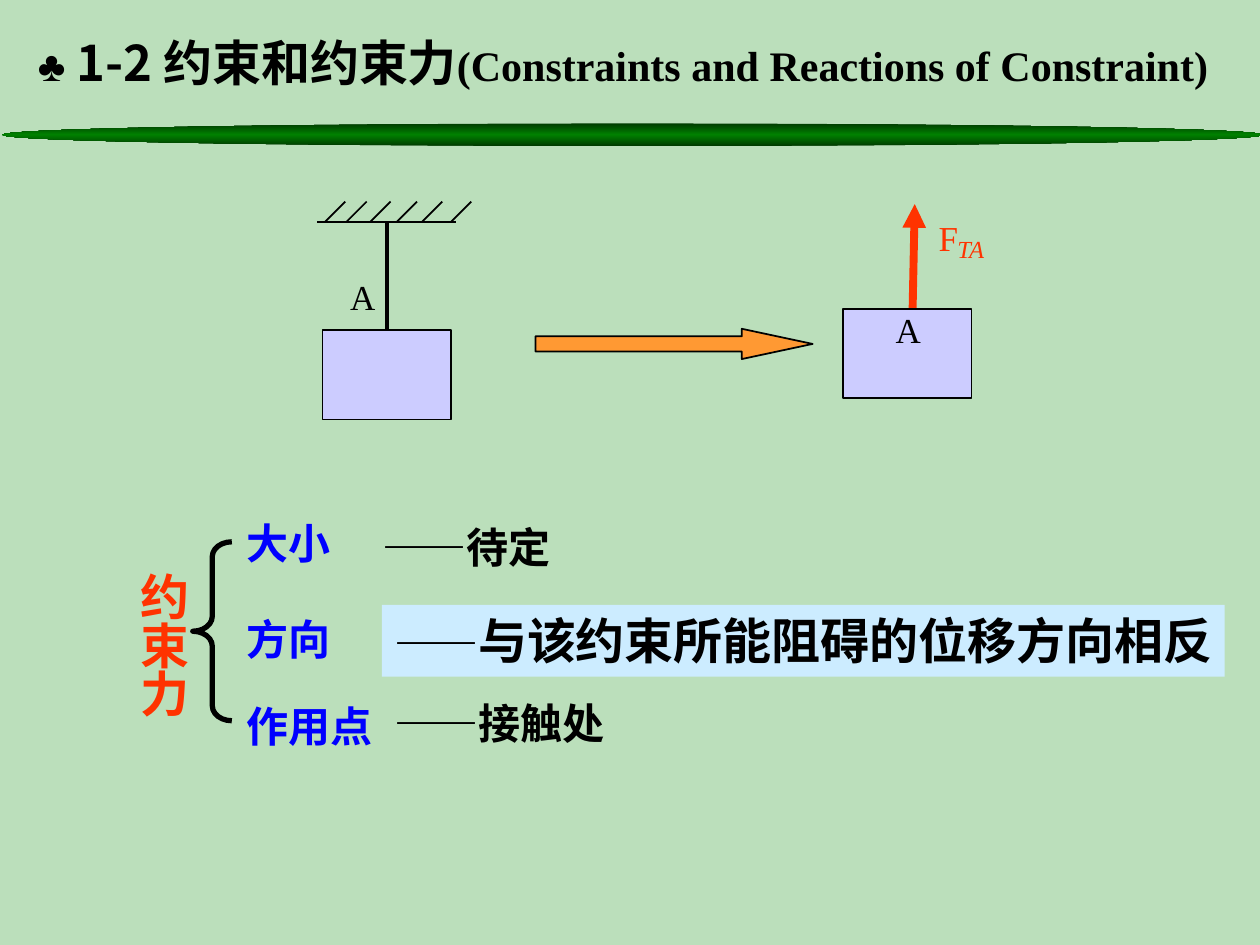
from copy import deepcopy
from dataclasses import dataclass

from lxml import etree
from pptx import Presentation
from pptx.dml.color import RGBColor
from pptx.enum.shapes import MSO_CONNECTOR, MSO_SHAPE
from pptx.enum.text import MSO_ANCHOR, MSO_AUTO_SIZE, PP_ALIGN
from pptx.oxml.ns import qn
from pptx.util import Inches, Pt

STRAIGHT = MSO_CONNECTOR.STRAIGHT
RECTANGLE, OVAL = MSO_SHAPE.RECTANGLE, MSO_SHAPE.OVAL
ARROW, BRACE = MSO_SHAPE.RIGHT_ARROW, MSO_SHAPE.LEFT_BRACE
TOP, LEFT, CENTER = MSO_ANCHOR.TOP, PP_ALIGN.LEFT, PP_ALIGN.CENTER
FIT_SHAPE, NO_FIT = MSO_AUTO_SIZE.SHAPE_TO_FIT_TEXT, MSO_AUTO_SIZE.NONE

# The slide is a grid of 10 columns and 7.5 rows of one inch.
COLUMNS, ROWS = 10, 7.5
BLOCK_SIZE = (1.02, 0.71)
CEILING = 1.76
HATCH_TOPS = (2.74, 2.91, 3.1, 3.31, 3.51, 3.74)
HATCH_SIZE = 0.16


@dataclass(frozen=True)
class Theme:
    background: str = "BBDFBB"
    ink: str = "000000"
    label: str = "0000FF"
    force: str = "FF3300"
    block: str = "CCCCFF"
    arrow: str = "FF9933"
    highlight: str = "CCECFF"
    bar_edge: str = "003B00"
    bar_middle: str = "008000"
    serif: str = "Times New Roman"
    chinese: str = "Noto Sans CJK SC"
    symbol: str = "Arial"
    large: float = 28
    medium: float = 24
    point: float = 20
    subscript: float = 14


THEME = Theme()


def color(value):
    return RGBColor.from_string(value)


def grid(*lengths):
    return [Inches(length) for length in lengths]


def add_run(paragraph, text, size=THEME.medium, font=THEME.serif, fill=THEME.ink,
            bold=False, italic=False):
    run = paragraph.add_run()
    run.text = text
    run.font.size, run.font.name = Pt(size), font
    run.font.bold, run.font.italic = bold, italic
    run.font.color.rgb = color(fill)
    east_asian = etree.SubElement(run.font._element, qn("a:ea"))
    east_asian.set("typeface", THEME.chinese)


def set_frame(shape, wrap=False, fit=FIT_SHAPE, alignment=LEFT):
    frame = shape.text_frame
    frame.word_wrap, frame.auto_size = wrap, fit
    frame.vertical_anchor = TOP
    frame.paragraphs[0].alignment = alignment
    return frame.paragraphs[0]


def add_label(slide, text, left, top, width, height, **style):
    box = slide.shapes.add_textbox(*grid(left, top, width, height))
    add_run(set_frame(box), text, **style)
    return box


def add_vertical_label(slide, text, left, top, width, height, **style):
    box = slide.shapes.add_textbox(*grid(left, top, width, height))
    paragraph = set_frame(box, wrap=True, alignment=CENTER)
    frame = box.text_frame
    frame.margin_left = frame.margin_right = Inches(0.05)
    frame.margin_top = frame.margin_bottom = Inches(0.1)
    frame._txBody.bodyPr.set("vert", "eaVert")
    add_run(paragraph, text, **style)


def add_figure(slide, kind, left, top, width, height, fill=None, line=None, weight=1):
    shape = slide.shapes.add_shape(kind, *grid(left, top, width, height))
    shape.shadow.inherit = False
    if fill:
        shape.fill.solid()
        shape.fill.fore_color.rgb = color(fill)
    else:
        shape.fill.background()
    if line:
        shape.line.color.rgb = color(line)
        shape.line.width = Pt(weight)
    else:
        shape.line.fill.background()
    return shape


def add_line(slide, start, end, fill=THEME.ink, weight=1, arrow_at_start=False):
    line = slide.shapes.add_connector(STRAIGHT, *grid(*start, *end))
    line.line.color.rgb = color(fill)
    line.line.width = Pt(weight)
    if arrow_at_start:
        etree.SubElement(line.line._get_or_add_ln(), qn("a:headEnd")).set("type", "triangle")
    etree.SubElement(line._element.spPr, qn("a:effectLst"))
    return line


def add_title(slide):
    title = slide.shapes.title
    title.left, title.top, title.width, title.height = grid(0.2, 0.21, 10, 0.67)
    paragraph = set_frame(title, wrap=True, fit=NO_FIT)
    add_run(paragraph, "♣", font=THEME.symbol, italic=True)
    add_run(paragraph, " ", size=THEME.large, font=THEME.chinese)
    add_run(paragraph, "1-2 约束和约束力", size=THEME.large, font=THEME.chinese, bold=True)
    add_run(paragraph, "(Constraints and Reactions of Constraint)", bold=True)


def add_gradient_bar(slide):
    """Draw the ellipse under the title, dark at both edges."""
    bar = add_figure(slide, OVAL, 0.02, 0.98, 10, 0.18)
    bar.fill.gradient()
    bar.fill.gradient_angle = 90
    stop_list = bar._element.spPr.find(".//" + qn("a:gsLst"))
    stop_list.insert(1, deepcopy(stop_list[0]))
    shades = (THEME.bar_edge, THEME.bar_middle, THEME.bar_edge)
    for index, (stop, shade) in enumerate(zip(bar.fill.gradient_stops, shades)):
        stop.position = index / 2
        stop.color.rgb = color(shade)


def add_block(slide, left, top):
    return add_figure(slide, RECTANGLE, left, top, *BLOCK_SIZE,
                      fill=THEME.block, line=THEME.ink)


def add_hanging_block(slide):
    block = add_block(slide, 2.56, 2.62)
    rope = add_line(slide, (3.07, CEILING), (3.07, 2.62), weight=2.25)
    rope.end_connect(block, 0)
    add_line(slide, (2.52, CEILING), (3.62, CEILING))
    for x in HATCH_TOPS:
        add_line(slide, (x, CEILING - HATCH_SIZE), (x - HATCH_SIZE, CEILING))
    add_label(slide, "A", 2.68, 2.14, 0.39, 0.44, size=THEME.point)


def add_free_body(slide):
    arrow = add_figure(slide, ARROW, 4.25, 2.61, 2.2, 0.24,
                       fill=THEME.arrow, line=THEME.ink)
    arrow.adjustments[0], arrow.adjustments[1] = 0.5, 2.34
    add_line(slide, (7.26, 1.62), (7.24, 2.61), fill=THEME.force, weight=4.5,
             arrow_at_start=True)
    add_label(slide, "F", 7.35, 1.67, 0.35, 0.44, size=THEME.point, fill=THEME.force)
    add_label(slide, "TA", 7.5, 1.81, 0.43, 0.34, size=THEME.subscript,
              fill=THEME.force, italic=True)
    add_block(slide, 6.69, 2.45)
    add_label(slide, "A", 7.01, 2.4, 0.39, 0.44, size=THEME.point)


def add_summary(slide):
    """List the three properties of a constraint force beside a brace."""
    add_vertical_label(slide, "约束力", 0.92, 4.44, 0.66, 1.72,
                       size=THEME.large, fill=THEME.force, bold=True)
    brace = add_figure(slide, BRACE, 1.53, 4.3, 0.31, 1.42, line=THEME.ink, weight=3)
    brace.adjustments[0] = 0.38
    for text, top, width in (("大小", 4.06, 0.9), ("方向", 4.82, 0.9),
                             ("作用点", 5.51, 1.24)):
        add_label(slide, text, 1.86, top, width, 0.5, fill=THEME.label, bold=True)

    highlight = add_figure(slide, RECTANGLE, 3.03, 4.8, 6.69, 0.57, fill=THEME.highlight)
    size = slide.shapes.add_textbox(*grid(2.94, 4.09, 1.57, 0.5))
    contact = slide.shapes.add_textbox(*grid(3.03, 5.49, 1.9, 0.5))
    for shape, text, points in (
            (size, "待定", THEME.medium),
            (highlight, "与该约束所能阻碍的位移方向相反", THEME.large),
            (contact, "接触处", THEME.medium)):
        paragraph = set_frame(shape)
        add_run(paragraph, "——", font=THEME.chinese, bold=True)
        add_run(paragraph, text, size=points, bold=True)


def main():
    presentation = Presentation()
    presentation.slide_width, presentation.slide_height = grid(COLUMNS, ROWS)
    slide = presentation.slides.add_slide(presentation.slide_layouts[5])
    slide.background.fill.solid()
    slide.background.fill.fore_color.rgb = color(THEME.background)
    add_summary(slide)
    add_gradient_bar(slide)
    add_title(slide)
    add_hanging_block(slide)
    add_free_body(slide)
    presentation.save("out.pptx")


if __name__ == "__main__":
    main()
